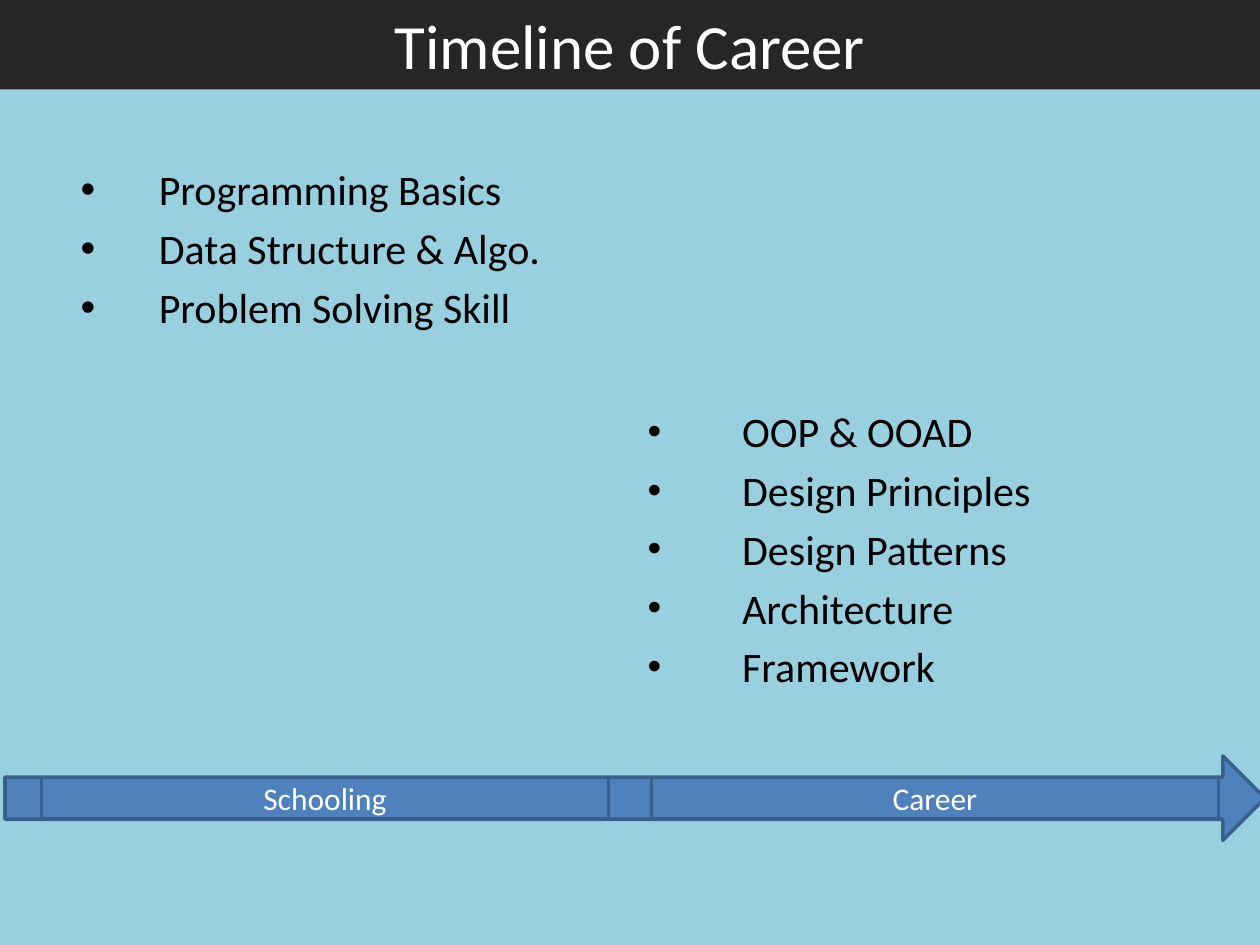
import pptx
import pptx.util
import pptx.dml.color
import pptx.enum.shapes
import pptx.enum.text
import pptx.oxml
import pptx.oxml.ns
from dataclasses import dataclass

Inches = pptx.util.Inches
RGB = pptx.dml.color.RGBColor.from_string
SHAPE = pptx.enum.shapes.MSO_SHAPE
ALIGN = pptx.enum.text.PP_ALIGN
ANCHOR = pptx.enum.text.MSO_ANCHOR


@dataclass(frozen=True)
class Theme:
    font: str = "Calibri"
    background: str = "99D0DF"
    banner: str = "262626"
    bar: str = "4F81BD"
    bar_line: str = "3A5F8C"
    light: str = "FFFFFF"
    dark: str = "000000"
    title_size: int = 36
    list_size: int = 24
    label_size: int = 18


theme = Theme()


def write(frame, text, size, color, align=ALIGN.LEFT, anchor=ANCHOR.TOP,
          indent=None, bullet_percent=100):
    """Write one paragraph per line; an indent makes them bulleted."""
    frame.text = text
    frame.word_wrap = True
    frame.auto_size = pptx.enum.text.MSO_AUTO_SIZE.NONE
    frame.vertical_anchor = anchor
    for paragraph in frame.paragraphs:
        paragraph.alignment = align
        paragraph.font.name = theme.font
        paragraph.font.size = pptx.util.Pt(size)
        paragraph.font.color.rgb = RGB(color)
        if indent:
            properties = paragraph._p.get_or_add_pPr()
            properties.set("marL", str(Inches(indent)))
            properties.set("indent", str(-Inches(indent)))
            for tag, attribute, value in (
                ("buSzPct", "val", str(bullet_percent * 1000)),
                ("buFont", "typeface", "Arial"),
                ("buChar", "char", "•"),
            ):
                bullet = pptx.oxml.parse_xml(
                    f'<a:{tag} {pptx.oxml.ns.nsdecls("a")} {attribute}="{value}"/>')
                properties.insert_element_before(bullet, "a:tabLst", "a:defRPr", "a:extLst")


def place(shape, left, top, width, height):
    shape.left, shape.top = Inches(left), Inches(top)
    shape.width, shape.height = Inches(width), Inches(height)


# Slide and background
deck = pptx.Presentation()
deck.slide_width, deck.slide_height = Inches(10), Inches(7.5)
slide = deck.slides.add_slide(deck.slide_layouts.get_by_name("Two Content"))
slide.background.fill.solid()
slide.background.fill.fore_color.rgb = RGB(theme.background)

# Title banner
title = slide.shapes.title
place(title, 0, 0, 10, 0.71)
title.fill.solid()
title.fill.fore_color.rgb = RGB(theme.banner)
write(title.text_frame, "Timeline of Career", theme.title_size, theme.light,
      align=ALIGN.CENTER, anchor=ANCHOR.MIDDLE)

# Topic lists, one per stage
schooling_topics, career_topics = list(slide.placeholders)[1:3]
place(schooling_topics, 0.54, 1.25, 4.08, 1.75)
write(schooling_topics.text_frame,
      "Programming Basics\nData Structure & Algo.\nProblem Solving Skill",
      theme.list_size, theme.dark, indent=0.62)
place(career_topics, 5.04, 3.17, 4.33, 1.85)
write(career_topics.text_frame,
      "OOP & OOAD\nDesign Principles\nDesign Patterns\nArchitecture\nFramework",
      theme.list_size, theme.dark, indent=0.75, bullet_percent=93)

# Timeline arrow with its two stages
for label, kind, left, top, width, height in (
    ("", SHAPE.RIGHT_ARROW, 0.04, 6, 10, 0.67),
    ("Career", SHAPE.RECTANGLE, 5.17, 6.17, 4.5, 0.33),
    ("Schooling", SHAPE.RECTANGLE, 0.33, 6.17, 4.5, 0.33),
):
    stage = slide.shapes.add_shape(kind, 0, 0, 0, 0)
    place(stage, left, top, width, height)
    stage.shadow.inherit = False
    stage.fill.solid()
    stage.fill.fore_color.rgb = RGB(theme.bar)
    stage.line.color.rgb = RGB(theme.bar_line)
    stage.line.width = pptx.util.Pt(2)
    if label:
        write(stage.text_frame, label, theme.label_size, theme.light,
              align=ALIGN.CENTER, anchor=ANCHOR.MIDDLE)

deck.save("out.pptx")
